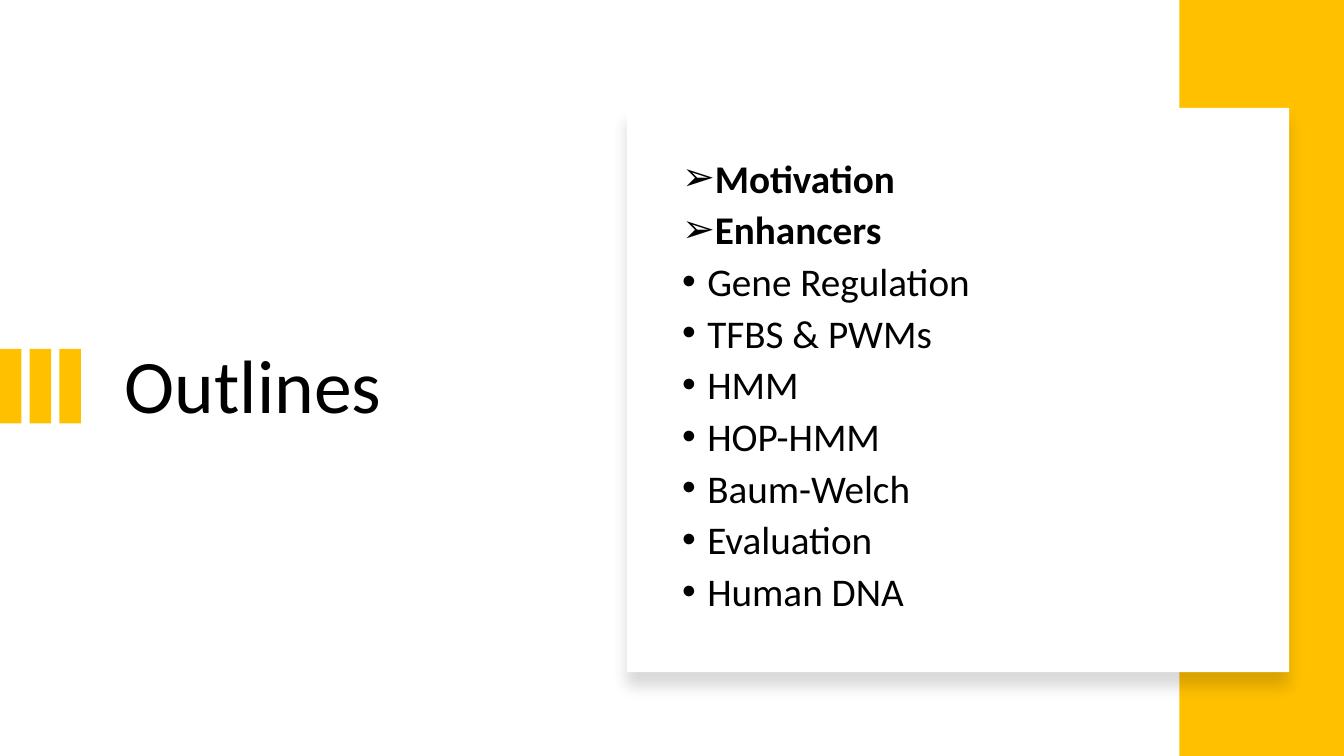
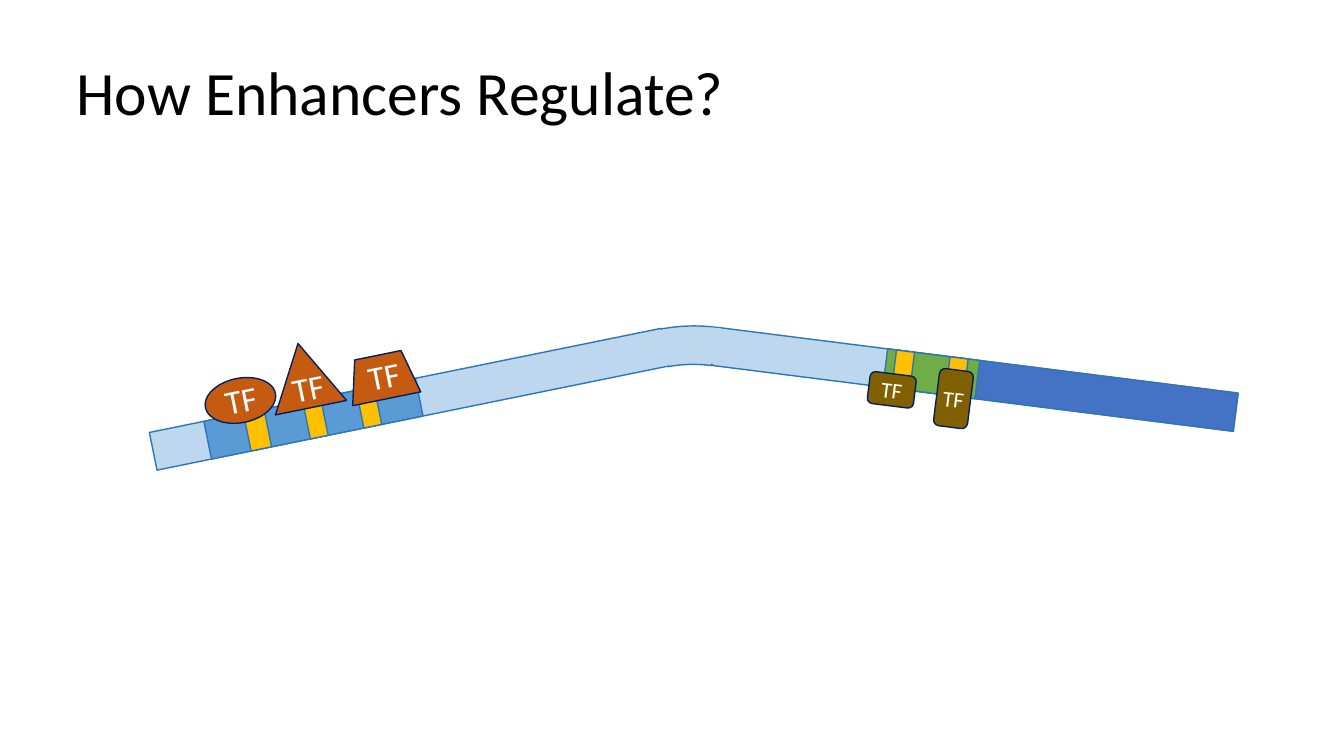
from math import radians, tan

from lxml.etree import SubElement
from pptx import Presentation
from pptx.dml.color import RGBColor
from pptx.enum.shapes import MSO_SHAPE
from pptx.enum.text import MSO_ANCHOR, MSO_AUTO_SIZE, PP_ALIGN
from pptx.oxml.ns import qn
from pptx.util import Cm, Pt

FONT = "Calibri"
BLACK, WHITE, GOLD = "000000", "FFFFFF", "FFC000"
PALE, SKY, EDGE = "BDD7EE", "5B9BD5", "2E75B6"
BLUE, GREEN = "4472C4", "70AD47"
RUST, BROWN, NAVY = "C55A11", "806000", "002060"
WIDE, HIGH = 33.87, 19.05
THICK = 0.97
DOWN, RISE, BEND = 7.2, 348.5, 347.8

TOPICS = [
    ("Motivation", True),
    ("Enhancers", True),
    ("Gene Regulation", False),
    ("TFBS & PWMs", False),
    ("HMM", False),
    ("HOP-HMM", False),
    ("Baum-Welch", False),
    ("Evaluation", False),
    ("Human DNA", False),
]


def apply(thing, values):
    for name, value in values.items():
        setattr(thing, name, value)


def color(code):
    return RGBColor.from_string(code)


def write(para, text, size, code=BLACK, bold=False):
    run = para.add_run()
    run.text = text
    apply(run.font, {"name": FONT, "size": Pt(size), "bold": bold})
    run.font.color.rgb = color(code)


def shape(slide, kind, box, fill, edge=None, turn=0):
    item = slide.shapes.add_shape(kind, *map(Cm, box))
    item.rotation = turn
    item.shadow.inherit = False
    item.fill.solid()
    item.fill.fore_color.rgb = color(fill)
    if edge:
        item.line.color.rgb = color(edge)
        item.line.width = Pt(1)
    else:
        item.line.fill.background()
    return item


def textbox(slide, box, **values):
    item = slide.shapes.add_textbox(*map(Cm, box))
    apply(item.text_frame, {"word_wrap": True, **values})
    return item


def title(slide, text, box, size):
    item = textbox(slide, box, vertical_anchor=MSO_ANCHOR.MIDDLE)
    para = item.text_frame.paragraphs[0]
    para.line_spacing = 0.9
    write(para, text, size)


def bullet(para, mark):
    props = para._p.get_or_add_pPr()
    props.set("marL", str(Cm(0.635)))
    props.set("indent", str(-Cm(0.635)))
    SubElement(props, qn("a:buFont"), typeface="Arial")
    SubElement(props, qn("a:buChar"), char=mark)


def topics(slide, box):
    frame = textbox(slide, box, vertical_anchor=MSO_ANCHOR.MIDDLE).text_frame
    for index, (text, bold) in enumerate(TOPICS):
        para = frame.add_paragraph() if index else frame.paragraphs[0]
        apply(para, {"line_spacing": 0.8, "space_before": Pt(10)})
        bullet(para, "➢" if bold else "•")
        write(para, text, 28, bold=bold)


def shade(item):
    effects = item._element.spPr.find(qn("a:effectLst"))
    outer = SubElement(effects, qn("a:outerShdw"), blurRad=str(Pt(11)),
                       dist=str(Pt(10)), dir="5400000", algn="t", rotWithShape="0")
    tint = SubElement(outer, qn("a:srgbClr"), val=BLACK)
    SubElement(tint, qn("a:alpha"), val="15000")


def strand(slide, mid, turn, strips):
    for x, width, fill in strips:
        y = mid[1] + (x - mid[0]) * tan(radians(turn))
        box = (x - width / 2, y - THICK / 2, width, THICK)
        shape(slide, MSO_SHAPE.RECTANGLE, box, fill, EDGE, turn)


def factor(slide, box):
    item = shape(slide, MSO_SHAPE.ROUNDED_RECTANGLE, box, BROWN, NAVY, DOWN)
    frame = item.text_frame
    apply(frame, {
        "margin_left": 0, "margin_right": 0, "margin_top": 0,
        "margin_bottom": 0, "vertical_anchor": MSO_ANCHOR.MIDDLE,
    })
    para = frame.paragraphs[0]
    para.alignment = PP_ALIGN.CENTER
    write(para, "TF", 16, WHITE)


def binder(slide, kind, box, label):
    shape(slide, kind, box, RUST, NAVY, RISE)
    item = textbox(slide, label, auto_size=MSO_AUTO_SIZE.SHAPE_TO_FIT_TEXT)
    item.rotation = RISE
    write(item.text_frame.paragraphs[0], "TF", 24, WHITE)


def outline(slide):
    title(slide, "Outlines", (2.9, 3.71, 10.82, 12.17), 54)
    for index in range(3):
        shape(slide, MSO_SHAPE.RECTANGLE, (index * 0.75, 8.79, 0.54, 1.88), GOLD)
    shape(slide, MSO_SHAPE.RECTANGLE, (29.72, 0, WIDE - 29.72, HIGH), GOLD)
    shade(shape(slide, MSO_SHAPE.RECTANGLE, (15.8, 2.72, 16.69, 14.22), WHITE))
    topics(slide, (16.94, 3.71, 14.61, 12.17))


def enhancers(slide):
    arc = shape(slide, MSO_SHAPE.BLOCK_ARC, (14.33, 8.23, 6.81, 5.11), PALE, EDGE, DOWN)
    for index, value in enumerate((139.53, 161.93, 0.19)):
        arc.adjustments[index] = value

    strand(slide, (24.58, 9.56), DOWN, [
        (24.58, 13.23, PALE),
        (26.73, 8.89, BLUE),
        (23.47, 2.34, GREEN),
        (22.76, 0.46, GOLD),
        (24.11, 0.46, GOLD),
    ])
    factor(slide, (21.89, 9.42, 1.17, 0.81))
    factor(slide, (23.6, 9.32, 0.86, 1.45))

    strand(slide, (10.31, 10.06), RISE, [
        (10.31, 13.16, PALE),
        (7.9, 5.44, SKY),
        (6.49, 0.53, GOLD),
        (7.95, 0.46, GOLD),
        (9.3, 0.46, GOLD),
    ])
    binder(slide, MSO_SHAPE.ISOSCELES_TRIANGLE,
           (6.76, 8.64, 1.83, 1.65), (7.11, 9.09, 1.73, 1.27))
    binder(slide, MSO_SHAPE.TRAPEZOID,
           (8.76, 8.94, 1.75, 1.12), (9.02, 8.79, 1.65, 1.27))
    binder(slide, MSO_SHAPE.OVAL,
           (5.16, 9.53, 1.8, 1.12), (5.41, 9.35, 2.01, 1.27))

    for left, top, turn in ((17.86, 8.26, DOWN), (16.61, 8.31, BEND)):
        shape(slide, MSO_SHAPE.RECTANGLE, (left, top, 0.25, 0.91), PALE, turn=turn)
    title(slide, "How Enhancers Regulate?", (1.68, 0.56, 29.21, 3.68), 44)


def main():
    deck = Presentation()
    apply(deck, {"slide_width": Cm(WIDE), "slide_height": Cm(HIGH)})
    for build in (outline, enhancers):
        build(deck.slides.add_slide(deck.slide_layouts[6]))
    deck.save("out.pptx")


if __name__ == "__main__":
    main()
